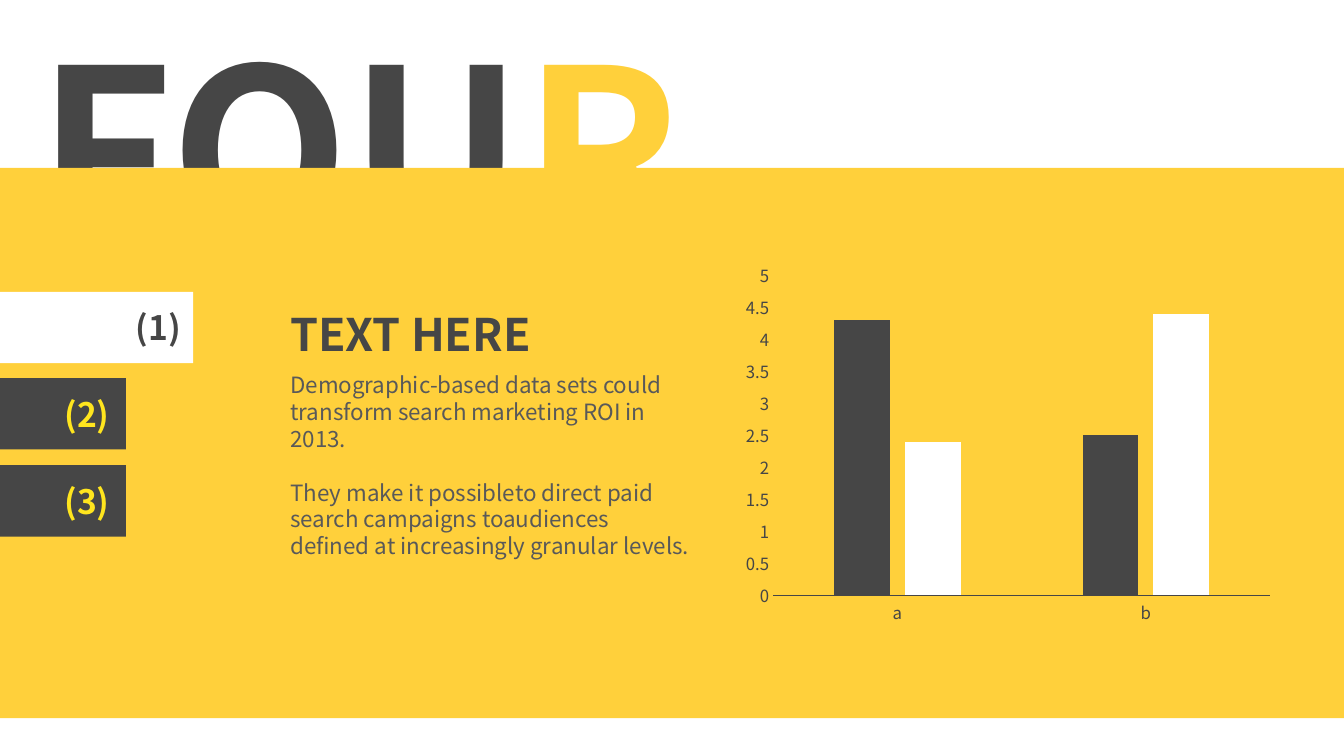
from lxml import etree
from pptx import Presentation
from pptx.chart.data import CategoryChartData
from pptx.dml.color import RGBColor
from pptx.enum.chart import XL_CHART_TYPE, XL_TICK_MARK
from pptx.enum.shapes import MSO_SHAPE
from pptx.enum.text import MSO_ANCHOR, MSO_AUTO_SIZE, PP_ALIGN
from pptx.oxml.ns import qn
from pptx.util import Emu, Pt

RECT = MSO_SHAPE.RECTANGLE
TOP = MSO_ANCHOR.TOP
FIXED = MSO_AUTO_SIZE.NONE
LEFT = PP_ALIGN.LEFT
COLUMN = XL_CHART_TYPE.COLUMN_CLUSTERED
NO_TICK = XL_TICK_MARK.NONE

SCALE = 9525
FONT = "Noto Sans CJK SC"
COLORS = {
    "dark": "464646",
    "gold": "FFD03B",
    "white": "FFFFFF",
    "grey": "595959",
    "lemon": "FFE51E",
}


def px(n):
    return Emu(n * SCALE)


def tint(name):
    return RGBColor.from_string(COLORS[name])


def style(font, size, color, bold=False):
    font.name = FONT
    font.size = Pt(size)
    font.bold = bold
    font.color.rgb = tint(color)


def write(shape, paras, size=16, bold=False, gap=0):
    frame = shape.text_frame
    frame.word_wrap = True
    frame.auto_size = FIXED
    frame.vertical_anchor = TOP
    for i, runs in enumerate(paras):
        para = frame.add_paragraph() if i else frame.paragraphs[0]
        props = para._p.get_or_add_pPr()
        props.set("marL", "0")
        props.set("indent", "0")
        para.alignment = LEFT
        para.space_before = Pt(gap if i else 0)
        etree.SubElement(props, qn("a:buNone"))
        for text, color in runs:
            run = para.add_run()
            run.text = text
            style(run.font, size, color, bold)


class Deck:
    def __init__(self, wide, high):
        self.file = Presentation()
        self.file.slide_width = px(wide)
        self.file.slide_height = px(high)
        self.slide = self.file.slides.add_slide(self.file.slide_layouts[1])
        self.shapes = self.slide.shapes

    def holder(self, index, box, paras, **form):
        shape = self.slide.placeholders[index]
        shape.left, shape.top, shape.width, shape.height = map(px, box)
        write(shape, paras, **form)
        return shape

    def text(self, box, text, color, **form):
        shape = self.shapes.add_textbox(*map(px, box))
        write(shape, [[(text, color)]], bold=True, **form)

    def block(self, box, color):
        shape = self.shapes.add_shape(RECT, *map(px, box))
        shape.shadow.inherit = False
        shape.fill.solid()
        shape.fill.fore_color.rgb = tint(color)
        shape.line.fill.background()

    def chart(self, box, names, series):
        data = CategoryChartData()
        data.categories = names
        for name, values, color in series:
            data.add_series(name, values)
        chart = self.shapes.add_chart(COLUMN, *map(px, box), data).chart
        chart.has_title = False
        chart.has_legend = False
        style(chart.font, 10, "dark")
        plot = chart.plots[0]
        plot.gap_width = 219
        plot.overlap = -27
        plot.vary_by_categories = False
        for part, (name, values, color) in zip(plot.series, series):
            part.format.fill.solid()
            part.format.fill.fore_color.rgb = tint(color)
        for axis in (chart.category_axis, chart.value_axis):
            axis.has_major_gridlines = False
            axis.major_tick_mark = NO_TICK
            axis.minor_tick_mark = NO_TICK
            style(axis.tick_labels.font, 12, "dark")
        line = chart.category_axis.format.line
        line.color.rgb = tint("dark")
        line.width = Pt(0.75)
        scale = chart.value_axis
        scale.minimum_scale = 0
        scale.maximum_scale = 5
        scale.major_unit = 0.5
        scale.format.line.fill.background()

    def raise_top(self, shape):
        node = shape._element
        node.getparent().append(node)


def main():
    deck = Deck(1280, 720)
    deck.holder(0, (26, 0, 668, 277), [[("FOU", "dark"), ("R", "gold")]],
                size=166, bold=True)
    deck.block((0, 160, 1280, 524), "gold")
    deck.text((267, 287, 297, 61), "TEXT HERE", "dark", size=32)

    tabs = [
        ("(1)", 278, 184, 120, "white", "dark"),
        ("(2)", 360, 120, 52, "dark", "lemon"),
        ("(3)", 443, 120, 52, "dark", "lemon"),
    ]
    for label, top, wide, left, fill, ink in tabs:
        deck.block((0, top, wide, 68), fill)
        deck.text((left, top + 10, 82, 48), label, ink, size=24)

    deck.chart((700, 243, 520, 359), ["a", "b"], [
        ("Series 1", (4.3, 2.5), "dark"),
        ("Series 2", (2.4, 4.4), "white"),
    ])
    body = deck.holder(1, (267, 349, 401, 242), [
        [("Demographic-based data sets could transform search "
          "marketing ROI in 2013.", "grey")],
        [("They make it possibleto direct paid search campaigns "
          "toaudiences defined at increasingly granular levels.", "grey")],
    ], size=16, gap=19)
    deck.raise_top(body)
    deck.file.save("out.pptx")


if __name__ == "__main__":
    main()
